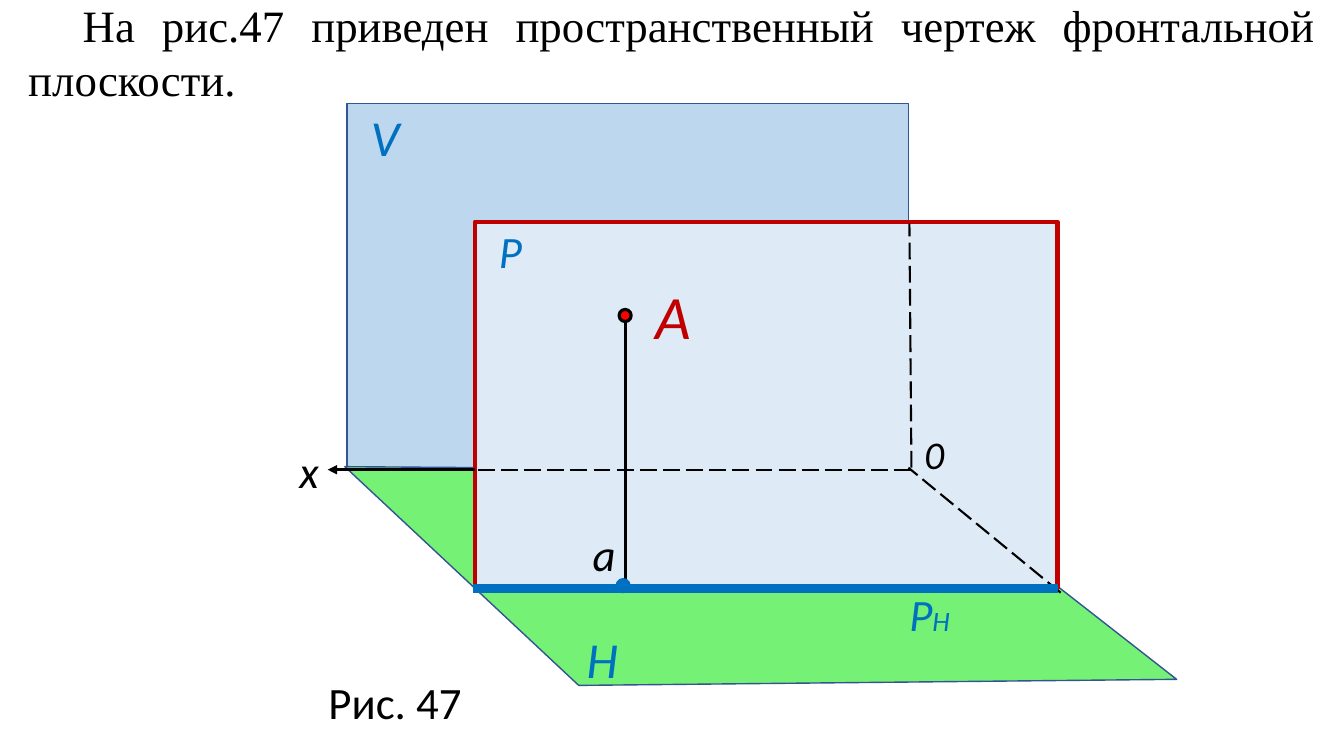
from lxml.etree import SubElement
from pptx import Presentation
from pptx.dml.color import RGBColor
from pptx.enum.dml import MSO_LINE_DASH_STYLE as Dash
from pptx.enum.shapes import MSO_CONNECTOR as Connector, MSO_SHAPE as Shape
from pptx.enum.text import MSO_ANCHOR as Anchor, MSO_AUTO_SIZE as AutoSize, PP_ALIGN as Align
from pptx.oxml.ns import qn
from pptx.util import Inches, Pt

BLACK = RGBColor(0x00, 0x00, 0x00)
BLUE = RGBColor(0x00, 0x70, 0xC0)
DARK_BLUE = RGBColor(0x32, 0x54, 0x91)
CRIMSON = RGBColor(0xC0, 0x00, 0x00)
RED = RGBColor(0xFF, 0x00, 0x00)
V_FILL = RGBColor(0xBD, 0xD7, 0xEE)
P_FILL = RGBColor(0xDE, 0xEB, 0xF7)
H_FILL = RGBColor(0x75, 0xF1, 0x75)


class Drawing:
    label_font = "Calibri"
    statement_font = "Times New Roman"

    def __init__(self, slide):
        self.slide = slide
        self.shapes = slide.shapes

    def statement(self, text, left, top, width, height, indent):
        title = self.shapes.title
        title.left, title.top = Inches(left), Inches(top)
        title.width, title.height = Inches(width), Inches(height)
        frame = title.text_frame
        frame.text = text
        frame.word_wrap = True
        frame.auto_size = AutoSize.NONE
        frame.vertical_anchor = Anchor.TOP
        paragraph = frame.paragraphs[0]
        paragraph.alignment = Align.JUSTIFY
        paragraph.font.name = self.statement_font
        paragraph.font.size = Pt(32)
        paragraph.font.color.rgb = BLACK
        properties = paragraph._p.get_or_add_pPr()
        properties.set("marL", "0")
        properties.set("indent", str(Inches(indent)))

    def paint(self, shape, fill, line, weight):
        shape.shadow.inherit = False
        shape.fill.solid()
        shape.fill.fore_color.rgb = fill
        shape.line.color.rgb = line
        shape.line.width = Pt(weight)

    def plane(self, left, top, width, height, fill, line, weight):
        plane = self.shapes.add_shape(
            Shape.RECTANGLE, Inches(left), Inches(top), Inches(width), Inches(height))
        self.paint(plane, fill, line, weight)

    def polygon(self, corners, fill, line, weight):
        points = [(Inches(x), Inches(y)) for x, y in corners]
        builder = self.shapes.build_freeform(*points[0])
        builder.add_line_segments(points[1:], close=True)
        self.paint(builder.convert_to_shape(), fill, line, weight)

    def point(self, x, y, fill, line):
        size = 0.12
        dot = self.shapes.add_shape(
            Shape.OVAL, Inches(x - size / 2), Inches(y - size / 2), Inches(size), Inches(size))
        self.paint(dot, fill, line, 2.25)

    def line(self, start, end, weight, color=BLACK, dashed=False, arrow=False):
        connector = self.shapes.add_connector(
            Connector.STRAIGHT, *(Inches(value) for value in (*start, *end)))
        connector.line.color.rgb = color
        connector.line.width = Pt(weight)
        if dashed:
            connector.line.dash_style = Dash.LONG_DASH
        if arrow:
            SubElement(connector.line._get_or_add_ln(), qn("a:headEnd"), type="triangle")
        SubElement(connector._element.spPr, qn("a:effectLst"))

    def label(self, text, left, top, width, height, size, color=BLACK, italic=True,
              subscript=""):
        box = self.shapes.add_textbox(Inches(left), Inches(top), Inches(width), Inches(height))
        box.text_frame.word_wrap = True
        paragraph = box.text_frame.paragraphs[0]
        paragraph.font.name = self.label_font
        paragraph.font.size = Pt(size)
        paragraph.font.italic = italic
        paragraph.font.color.rgb = color
        paragraph.add_run().text = text
        if subscript:
            index = paragraph.add_run()
            index.text = subscript
            index.font.size = Pt(20)


def main():
    deck = Presentation()
    deck.slide_width, deck.slide_height = Inches(13.33), Inches(7.5)
    drawing = Drawing(deck.slides.add_slide(deck.slide_layouts[5]))

    drawing.statement("На рис.47 приведен пространственный чертеж фронтальной плоскости.",
                      0.18, -0.07, 12.97, 1.18, indent=0.54)

    drawing.plane(3.44, 1.03, 5.57, 3.63, V_FILL, DARK_BLUE, 1)
    drawing.polygon([(3.42, 4.63), (9.02, 4.67), (11.67, 6.74), (5.74, 6.8)],
                    H_FILL, DARK_BLUE, 1)
    drawing.label("V", 3.58, 1, 0.89, 0.71, 36, BLUE)
    drawing.label("H", 5.72, 6.18, 0.89, 0.71, 36, BLUE)
    drawing.label("x", 2.87, 4.35, 0.4, 0.64, 32)

    drawing.plane(4.71, 2.2, 5.78, 3.63, P_FILL, CRIMSON, 3)
    drawing.label("P", 4.85, 2.17, 0.6, 0.64, 32, BLUE)
    drawing.line((9.04, 4.64), (9.02, 2.22), 1.5, dashed=True)
    drawing.line((10.52, 5.88), (9.01, 4.64), 1.5, dashed=True)
    drawing.label("0", 9.07, 4.22, 0.54, 0.57, 28)

    drawing.line((6.2, 5.84), (6.2, 3.16), 2.25)
    drawing.label("A", 6.4, 2.71, 0.48, 0.84, 44, CRIMSON)
    drawing.label("a", 5.78, 5.18, 0.6, 0.64, 32)
    drawing.line((4.69, 5.84), (10.49, 5.84), 6, BLUE)
    drawing.point(6.18, 5.81, BLUE, BLUE)
    drawing.point(6.2, 3.13, RED, BLACK)
    drawing.label("P", 8.92, 5.77, 0.89, 0.64, 32, BLUE, subscript="H")
    drawing.label("Рис. 47", 3.16, 6.64, 1.7, 0.64, 32, italic=False)

    drawing.line((4.74, 4.66), (9.04, 4.66), 1.5, dashed=True)
    drawing.line((3.25, 4.66), (4.71, 4.66), 2.25, arrow=True)

    deck.save("out.pptx")


if __name__ == "__main__":
    main()
